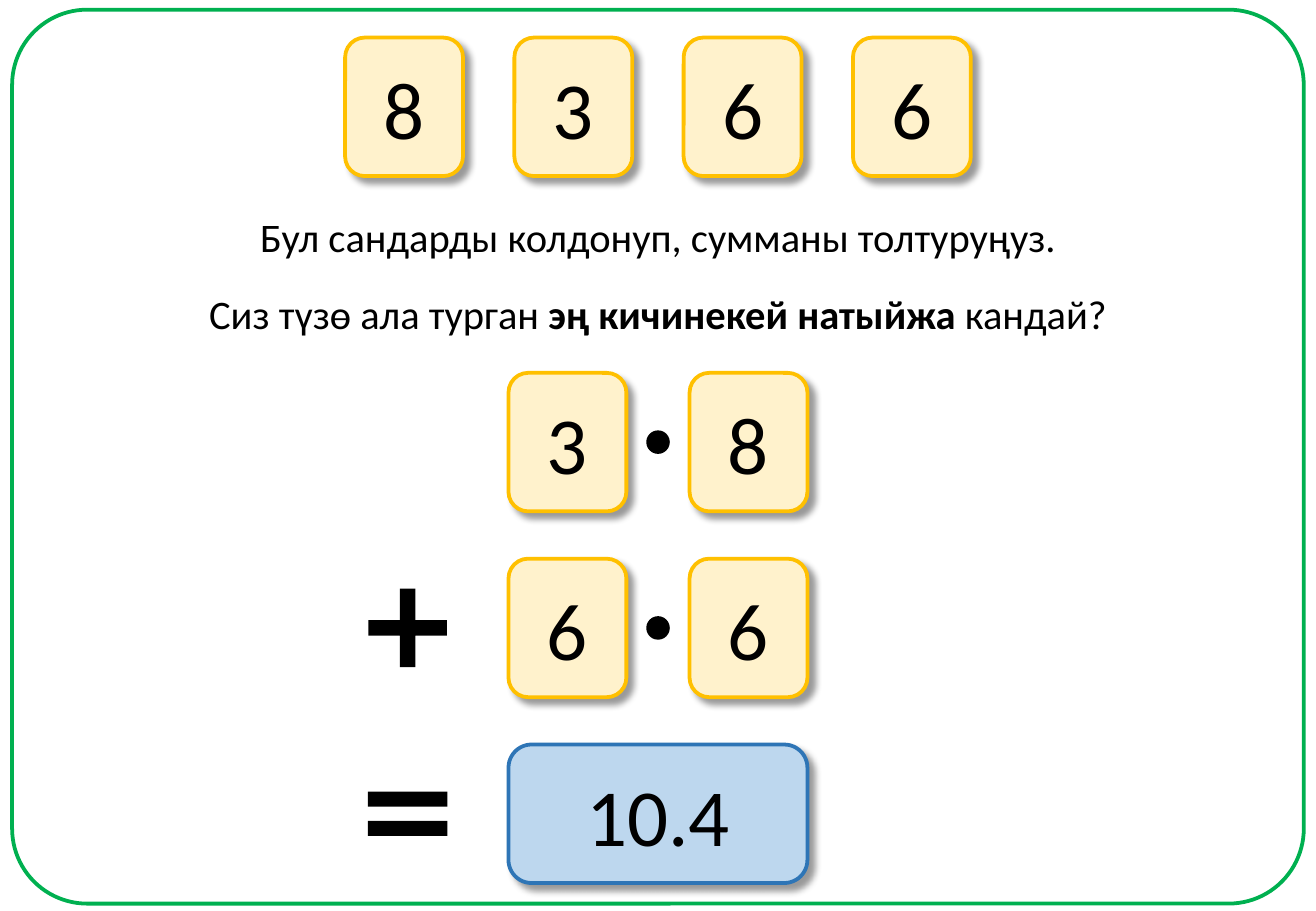
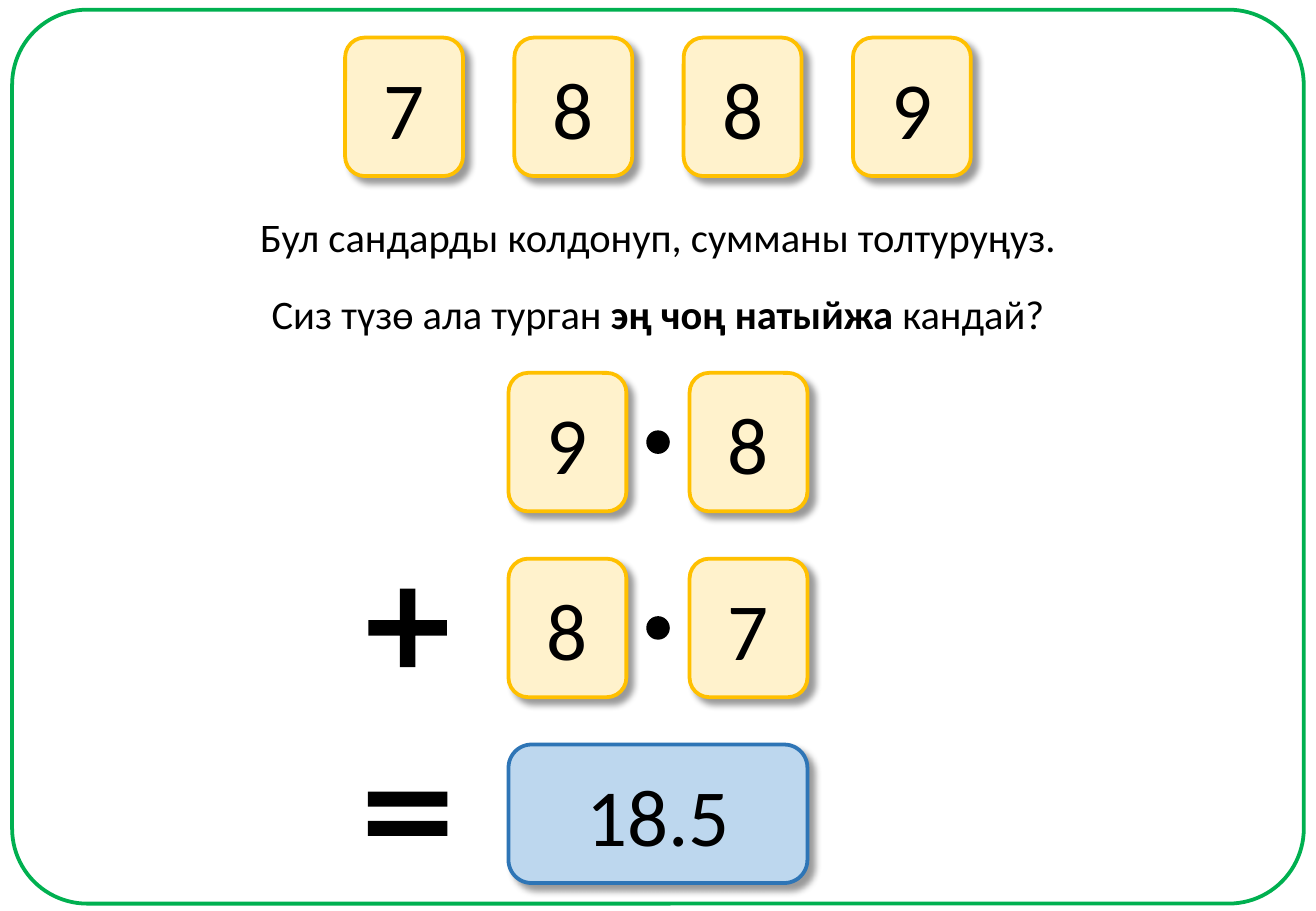
from dataclasses import dataclass
from lxml.etree import SubElement
from pptx import Presentation
from pptx.dml.color import RGBColor
from pptx.enum.shapes import MSO_SHAPE
from pptx.enum.text import MSO_ANCHOR, MSO_AUTO_SIZE, PP_ALIGN
from pptx.oxml.ns import qn
from pptx.shapes.autoshape import Shape
from pptx.slide import Slide
from pptx.util import Inches, Pt

PAGE_WIDTH, PAGE_HEIGHT = 10.83, 7.5
CENTRE = PAGE_WIDTH / 2
BLACK = RGBColor(0x00, 0x00, 0x00)
GREEN = RGBColor(0x00, 0xB0, 0x50)
CREAM = RGBColor(0xFF, 0xF2, 0xCC)
GOLD = RGBColor(0xFF, 0xC0, 0x00)
PALE_BLUE = RGBColor(0xBD, 0xD7, 0xEE)
BLUE = RGBColor(0x2E, 0x75, 0xB6)
FONT = "Calibri"

CARD_WIDTH, CARD_HEIGHT = 0.97, 1.14
GIVEN_TOP, GIVEN_STEP = 0.31, 1.393
SUM_TOP, SUM_ROW_STEP, SUM_COLUMN_STEP = 3.07, 1.53, 1.49
SUM_WIDTH = SUM_COLUMN_STEP + CARD_WIDTH
SUM_LEFT = CENTRE - SUM_WIDTH / 2
DOT_SIZE = 0.18
SIGN_CENTRE = 3.355
INSTRUCTION = "Бул сандарды колдонуп, сумманы толтуруңуз."


@dataclass(frozen=True)
class Frame:
    left: float
    top: float
    width: float
    height: float


@dataclass(frozen=True)
class Puzzle:
    given: str
    goal: str
    rows: tuple[str, str]
    result: str


PUZZLES = (
    Puzzle("8366", "эң кичинекей натыйжа ", ("38", "66"), "10.4"),
    Puzzle("7889", "эң чоң натыйжа ", ("98", "87"), "18.5"),
)


def add_figure(page: Slide, kind: MSO_SHAPE, frame: Frame, fill: RGBColor | None,
               line: RGBColor | None = None, line_width: float = 2.25,
               adjustments: tuple[float, ...] = ()) -> Shape:
    figure = page.shapes.add_shape(kind, Inches(frame.left), Inches(frame.top),
                                   Inches(frame.width), Inches(frame.height))
    figure.shadow.inherit = False
    for index, value in enumerate(adjustments):
        figure.adjustments[index] = value
    if fill is None:
        figure.fill.background()
    else:
        figure.fill.solid()
        figure.fill.fore_color.rgb = fill
    if line is None:
        figure.line.fill.background()
    else:
        figure.line.color.rgb = line
        figure.line.width = Pt(line_width)
    return figure


def add_shadow(figure: Shape) -> None:
    effects = figure.element.spPr.find(qn("a:effectLst"))
    shadow = SubElement(effects, qn("a:outerShdw"), blurRad=str(Pt(4)), dist=str(Pt(5)),
                        dir=str(45 * 60000), algn="tl", rotWithShape="0")
    colour = SubElement(shadow, qn("a:srgbClr"), val=str(BLACK))
    SubElement(colour, qn("a:alpha"), val="40000")


def add_text(box: Shape, spans: tuple[str, ...], size: float) -> None:
    para = box.text_frame.paragraphs[0]
    para.alignment = PP_ALIGN.CENTER
    para.font.name = FONT
    para.font.size = Pt(size)
    para.font.color.rgb = BLACK
    for index, text in enumerate(spans):
        span = para.add_run()
        span.text = text
        if index % 2:
            span.font.bold = True


def add_card(page: Slide, text: str, left: float, top: float, width: float = CARD_WIDTH,
             fill: RGBColor = CREAM, line: RGBColor = GOLD) -> None:
    card = add_figure(page, MSO_SHAPE.ROUNDED_RECTANGLE,
                      Frame(left, top, width, CARD_HEIGHT), fill, line)
    add_shadow(card)
    card.text_frame.vertical_anchor = MSO_ANCHOR.MIDDLE
    add_text(card, (text,), 48)


def add_sentence(page: Slide, spans: tuple[str, ...], top: float, width: float) -> None:
    box = page.shapes.add_textbox(Inches(CENTRE - width / 2), Inches(top),
                                  Inches(width), Inches(0.5))
    box.text_frame.word_wrap = False
    box.text_frame.auto_size = MSO_AUTO_SIZE.SHAPE_TO_FIT_TEXT
    add_text(box, spans, 24)


def add_sign(page: Slide, kind: MSO_SHAPE, row: int, width: float, height: float,
             adjustments: tuple[float, ...]) -> None:
    middle = SUM_TOP + row * SUM_ROW_STEP + CARD_HEIGHT / 2
    frame = Frame(SIGN_CENTRE - width / 2, middle - height / 2, width, height)
    add_figure(page, kind, frame, BLACK, adjustments=adjustments)


def add_product(page: Slide, digits: str, row: int) -> None:
    top = SUM_TOP + row * SUM_ROW_STEP
    for column, digit in enumerate(digits):
        add_card(page, digit, SUM_LEFT + column * SUM_COLUMN_STEP, top)
    dot = Frame(CENTRE - DOT_SIZE / 2, top + (CARD_HEIGHT - DOT_SIZE) / 2, DOT_SIZE, DOT_SIZE)
    add_figure(page, MSO_SHAPE.OVAL, dot, BLACK, BLACK, 1)


def add_puzzle(page: Slide, puzzle: Puzzle) -> None:
    add_figure(page, MSO_SHAPE.ROUNDED_RECTANGLE, Frame(0.1, 0.08, 10.63, 7.36),
               None, GREEN, adjustments=(0.084,))
    add_sentence(page, (INSTRUCTION,), 1.7, 6.82)
    add_sentence(page, ("Сиз түзө ала турган ", puzzle.goal, "кандай?"), 2.33, 7.66)
    given_left = CENTRE - ((len(puzzle.given) - 1) * GIVEN_STEP + CARD_WIDTH) / 2
    for column, digit in enumerate(puzzle.given):
        add_card(page, digit, given_left + column * GIVEN_STEP, GIVEN_TOP)
    for row, digits in enumerate(puzzle.rows):
        add_product(page, digits, row)
    add_card(page, puzzle.result, SUM_LEFT, SUM_TOP + 2 * SUM_ROW_STEP, SUM_WIDTH,
             PALE_BLUE, BLUE)
    add_sign(page, MSO_SHAPE.MATH_PLUS, 1, 0.88, 0.88, (0.144,))
    add_sign(page, MSO_SHAPE.MATH_EQUAL, 2, 0.89, 1, (0.123, 0.118))


def main() -> None:
    deck = Presentation()
    deck.slide_width, deck.slide_height = Inches(PAGE_WIDTH), Inches(PAGE_HEIGHT)
    for puzzle in PUZZLES:
        add_puzzle(deck.slides.add_slide(deck.slide_layouts[6]), puzzle)
    deck.save("out.pptx")


if __name__ == "__main__":
    main()
